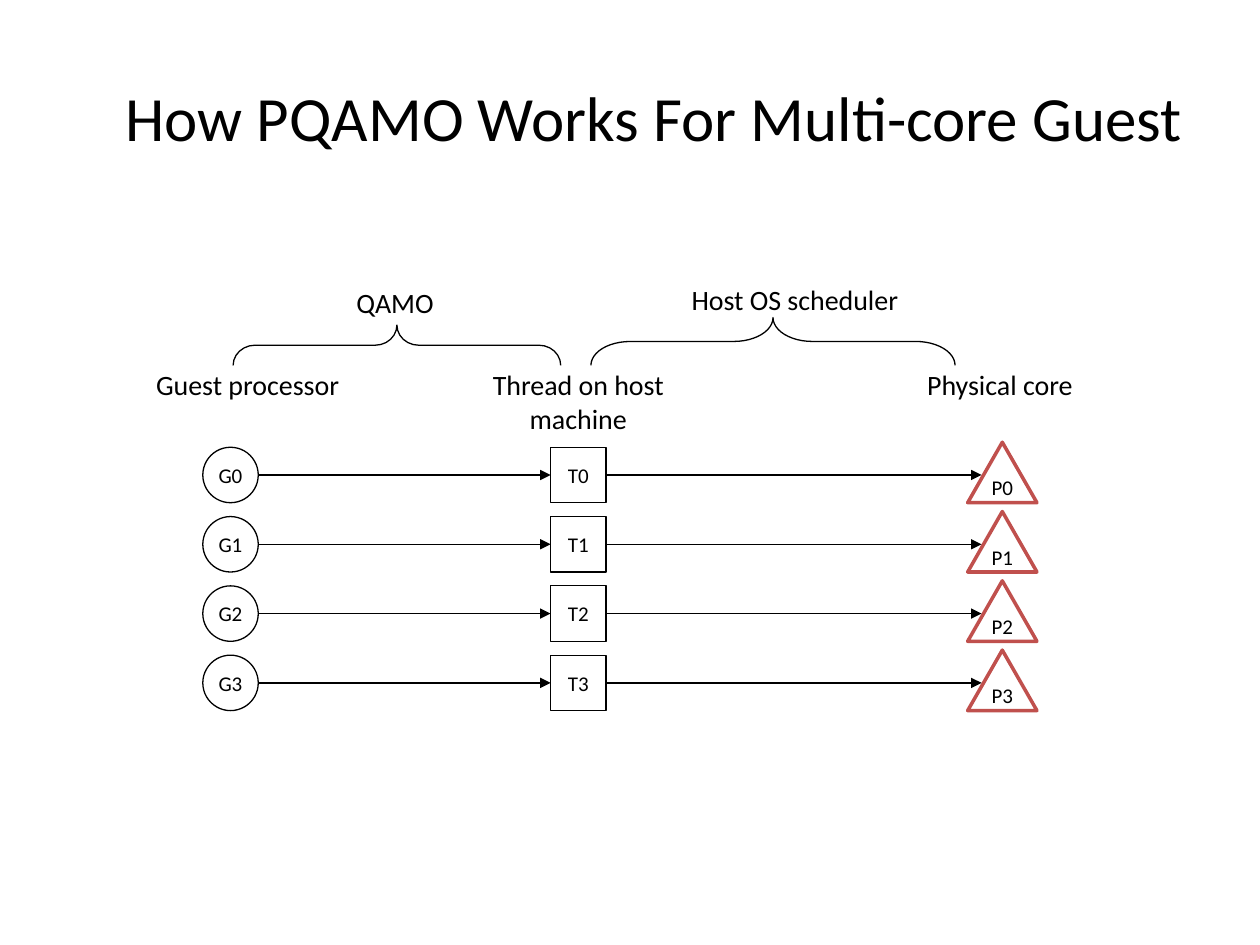
"""Build a slide mapping guest processors to host threads and physical cores."""
from lxml import etree
from pptx import Presentation
from pptx.dml.color import RGBColor
from pptx.enum.shapes import MSO_CONNECTOR, MSO_SHAPE
from pptx.enum.text import MSO_ANCHOR, MSO_AUTO_SIZE, PP_ALIGN
from pptx.oxml.ns import qn
from pptx.util import Inches, Pt

OVAL, RECT, TRIANGLE = MSO_SHAPE.OVAL, MSO_SHAPE.RECTANGLE, MSO_SHAPE.ISOSCELES_TRIANGLE
BRACE, STRAIGHT = MSO_SHAPE.LEFT_BRACE, MSO_CONNECTOR.STRAIGHT
LEFT, CENTER, MIDDLE = PP_ALIGN.LEFT, PP_ALIGN.CENTER, MSO_ANCHOR.MIDDLE
THREAD_LEFT, THREAD_RIGHT = 1, 3

THEME = {
    "font": "Calibri", "title": 36, "label": 16, "node": 12,
    "ink": RGBColor(0, 0, 0), "paper": RGBColor(255, 255, 255),
    "core": RGBColor(0xC0, 0x50, 0x4D), "thin": 0.75, "thick": 2,
}
TITLE = ("How PQAMO Works For Multi-core Guest", (0.5, 0.3, 9.38, 1.25))
LABELS = [
    ("Guest processor", (1.14, 2.87, 1.79, 0.37), LEFT, False),
    ("Thread on host machine", (3.55, 2.87, 2.08, 0.64), CENTER, True),
    ("Physical core", (7.26, 2.87, 1.48, 0.37), LEFT, False),
    ("QAMO", (2.73, 2.22, 1.64, 0.37), LEFT, True),
    ("Host OS scheduler", (5.39, 2.19, 2.74, 0.37), LEFT, True),
]
BRACES = [((1.85, 2.58, 2.6, 0.32), 0.54), ((4.69, 2.52, 2.89, 0.38), 0.82)]
ROWS, FIRST_ROW, PITCH = 4, 3.77, 0.55
GUEST_X, THREAD_X, CORE_X = 1.61, 4.37, 7.68
NODE, CORE_WIDTH, CORE_HEIGHT, CORE_ENTRY = 0.44, 0.55, 0.48, 7.79


def inches(values):
    return [Inches(value) for value in values]


def write(frame, text, size, align, wrap):
    frame.word_wrap = wrap
    paragraph = frame.paragraphs[0]
    paragraph.alignment = align
    run = paragraph.add_run()
    run.text = text
    run.font.name = THEME["font"]
    run.font.size = Pt(THEME[size])
    run.font.color.rgb = THEME["ink"]


def add_label(slide, text, box, align, wrap, size="label"):
    frame = slide.shapes.add_textbox(*inches(box)).text_frame
    write(frame, text, size, align, wrap)
    return frame


def add_outline(slide, kind, box, line="ink", weight="thin"):
    outline = slide.shapes.add_shape(kind, *inches(box))
    outline.shadow.inherit = False
    outline.fill.background()
    outline.line.color.rgb = THEME[line]
    outline.line.width = Pt(THEME[weight])
    return outline


def add_node(slide, kind, text, box, **style):
    node = add_outline(slide, kind, box, **style)
    node.text_frame.vertical_anchor = MIDDLE
    write(node.text_frame, text, "node", CENTER, False)
    return node


def add_brace(slide, box, curve):
    left, top, width, height = box
    shift = (width - height) / 2
    brace = add_outline(slide, BRACE, (left + shift, top - shift, height, width))
    brace.rotation = 90
    brace.adjustments[0] = curve
    brace.adjustments[1] = 0.5


def add_arrow(slide, start, end, y):
    arrow = slide.shapes.add_connector(STRAIGHT, *inches((start, y, end, y)))
    arrow.line.color.rgb = THEME["ink"]
    arrow.line.width = Pt(THEME["thin"])
    etree.SubElement(arrow.line._get_or_add_ln(), qn("a:tailEnd"), type="triangle")
    etree.SubElement(arrow._element.spPr, qn("a:effectLst"))
    return arrow


def add_row(slide, index):
    y = FIRST_ROW + index * PITCH
    top = y - NODE / 2
    core_top = top + NODE - CORE_HEIGHT
    add_node(slide, OVAL, f"G{index}", (GUEST_X, top, NODE, NODE))
    thread = add_node(slide, RECT, f"T{index}", (THREAD_X, top, NODE, NODE))
    core = add_node(slide, TRIANGLE, f"P{index}", (CORE_X, core_top, CORE_WIDTH, CORE_HEIGHT),
                    line="core", weight="thick")
    core.fill.solid()
    core.fill.fore_color.rgb = THEME["paper"]
    add_arrow(slide, GUEST_X + NODE, THREAD_X, y).end_connect(thread, THREAD_LEFT)
    add_arrow(slide, THREAD_X + NODE, CORE_ENTRY, y).begin_connect(thread, THREAD_RIGHT)


def main():
    deck = Presentation()
    deck.slide_width, deck.slide_height = inches((10, 7.5))
    slide = deck.slides.add_slide(deck.slide_layouts[6])
    add_label(slide, *TITLE, CENTER, True, "title").vertical_anchor = MIDDLE
    for index in range(ROWS):
        add_row(slide, index)
    for label in LABELS:
        add_label(slide, *label).auto_size = MSO_AUTO_SIZE.SHAPE_TO_FIT_TEXT
    for box, curve in BRACES:
        add_brace(slide, box, curve)
    deck.save("out.pptx")


if __name__ == "__main__":
    main()
